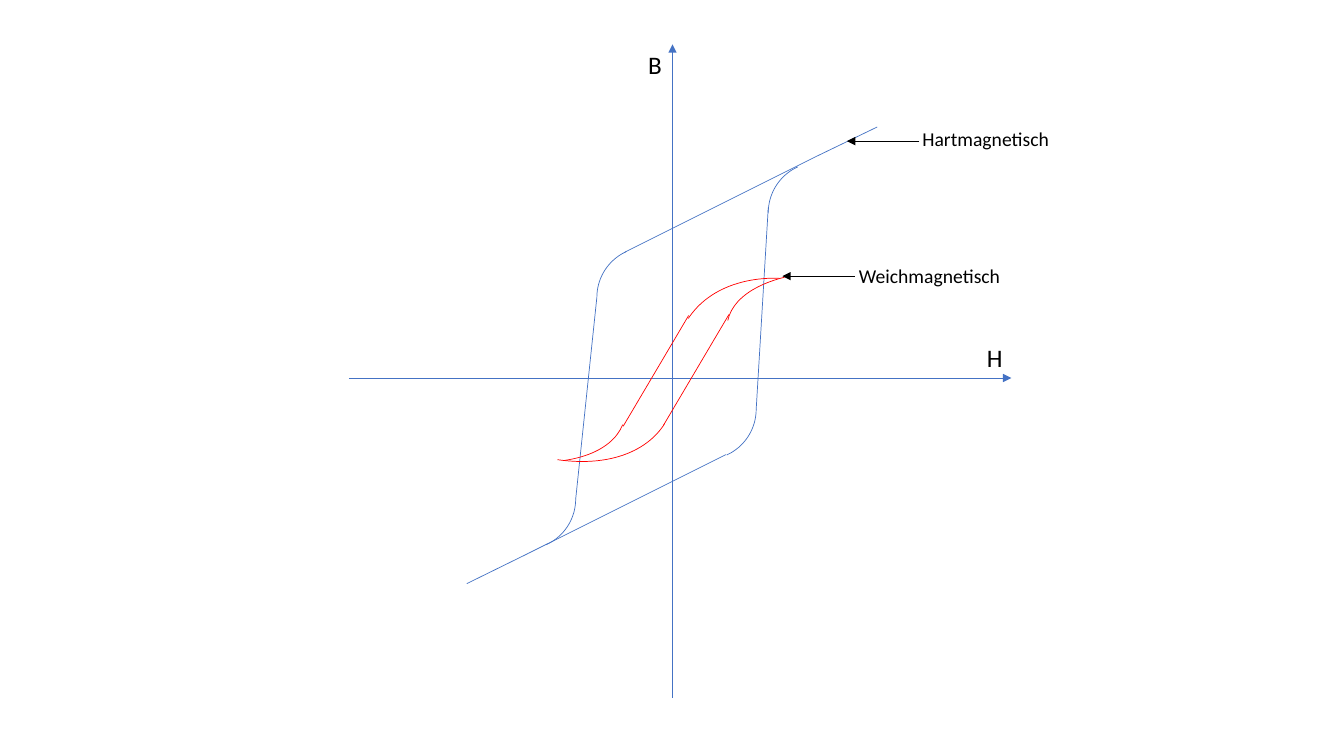
from lxml.etree import SubElement
from pptx import Presentation
from pptx.dml.color import RGBColor
from pptx.enum.shapes import MSO_CONNECTOR, MSO_SHAPE
from pptx.enum.text import MSO_AUTO_SIZE
from pptx.oxml.ns import qn
from pptx.util import Inches, Pt

BLUE = RGBColor(0x44, 0x72, 0xC4)
RED = RGBColor(0xFF, 0x00, 0x00)
BLACK = RGBColor(0x00, 0x00, 0x00)

# The grid has square cells of one inch; all places are (column, row).
CELL = Inches(1)
COLUMNS, ROWS = 13.33, 7.5
ORIGIN_COLUMN, ORIGIN_ROW = 6.67, 3.75
ARC_START = 162  # top of the ellipse, before rotation

# Corners of the hard magnetic loop, where straight lines meet the arcs.
UPPER_TIP, UPPER_JOIN = (8.7, 1.26), (8.1, 1.55)
LOWER_TIP, LOWER_JOIN = (4.63, 5.79), (5.24, 5.49)
HARD_LINES = [
    (UPPER_TIP, UPPER_JOIN),
    (UPPER_JOIN, (6.2, 2.5)),
    (LOWER_JOIN, LOWER_TIP),
    ((7.2, 4.51), LOWER_JOIN),
    ((5.92, 2.95), (5.71, 4.95)),
    ((7.62, 2.06), (7.5, 4.06)),
]
# Arcs: place, size, rotation, end of the sweep.
HARD_ARCS = [
    ((5.92, 2.45), (1, 1), 270, 201.32),
    ((7.62, 1.61), (1, 1), 270, 201.32),
    ((4.71, 4.45), (1, 1), 90, 201.32),
    ((6.5, 3.56), (1, 1), 90, 201.32),
]
SOFT_LINES = [
    ((6.18, 4.23), (6.83, 3.13)),
    ((6.58, 4.22), (7.23, 3.12)),
]
SOFT_ARCS = [
    ((7.05, 2.44), (2.22, 3.19), 303.3, 184.82),
    ((8.11, 1.82), (1.58, 3.44), 282.1, 175.89),
    ((4.11, 1.62), (2.15, 3.35), 123.1, 187.01),
    ((3.73, 1.84), (1.71, 3.44), 112.3, 175.86),
]


def cells(*counts):
    """Turn counts of grid cells into slide lengths."""
    return [round(count * CELL) for count in counts]


def add_line(slide, start, end, color, arrow=False):
    """Draw a thin straight line, with an arrowhead at its end if asked."""
    connector = slide.shapes.add_connector(
        MSO_CONNECTOR.STRAIGHT, *cells(*start, *end))
    connector.line.color.rgb = color
    connector.line.width = Pt(0.5)
    if arrow:
        SubElement(connector.line._get_or_add_ln(), qn("a:tailEnd"), type="triangle")
    SubElement(connector._element.spPr, qn("a:effectLst"))


def add_arc(slide, place, size, rotation, sweep_end, color):
    """Draw a thin unfilled arc."""
    arc = slide.shapes.add_shape(MSO_SHAPE.ARC, *cells(*place, *size))
    arc.adjustments[0] = ARC_START
    arc.adjustments[1] = sweep_end
    arc.rotation = rotation
    arc.fill.background()
    arc.line.color.rgb = color
    arc.line.width = Pt(0.5)
    arc.shadow.inherit = False


def add_label(slide, text, place, size, points):
    """Write one unwrapped line of black text."""
    label = slide.shapes.add_textbox(*cells(*place, *size))
    frame = label.text_frame
    frame.word_wrap = False
    frame.auto_size = MSO_AUTO_SIZE.SHAPE_TO_FIT_TEXT
    run = frame.paragraphs[0].add_run()
    run.text = text
    run.font.name = "Calibri"
    run.font.size = Pt(points)
    run.font.color.rgb = BLACK


def add_axes(slide):
    """Draw the H and B axes with their names."""
    add_line(slide, (3.46, ORIGIN_ROW), (10.03, ORIGIN_ROW), BLUE, arrow=True)
    add_line(slide, (ORIGIN_COLUMN, 6.92), (ORIGIN_COLUMN, 0.44), BLUE, arrow=True)
    add_label(slide, "B", (6.33, 0.44), (0.34, 0.4), 18)
    add_label(slide, "H", (9.69, 3.35), (0.36, 0.4), 18)


def add_loop(slide, lines, arcs, color):
    """Draw a hysteresis loop from straight lines and arcs."""
    for start, end in lines:
        add_line(slide, start, end, color)
    for place, size, rotation, sweep_end in arcs:
        add_arc(slide, place, size, rotation, sweep_end, color)


def add_callout(slide, text, place, size, start, end):
    """Name a loop and point an arrow at it."""
    add_line(slide, start, end, BLACK, arrow=True)
    add_label(slide, text, place, size, 14)


def main():
    """Build and save the slide."""
    presentation = Presentation()
    presentation.slide_width, presentation.slide_height = cells(COLUMNS, ROWS)
    slide = presentation.slides.add_slide(presentation.slide_layouts[6])
    add_axes(slide)
    add_loop(slide, HARD_LINES, HARD_ARCS, BLUE)
    add_callout(slide, "Hartmagnetisch", (9.05, 1.21), (1.47, 0.34),
                (9.12, 1.4), (8.4, 1.4))
    add_loop(slide, SOFT_LINES, SOFT_ARCS, RED)
    add_callout(slide, "Weichmagnetisch", (8.42, 2.57), (1.62, 0.34),
                (8.48, 2.74), (7.76, 2.74))
    presentation.save("out.pptx")


main()
